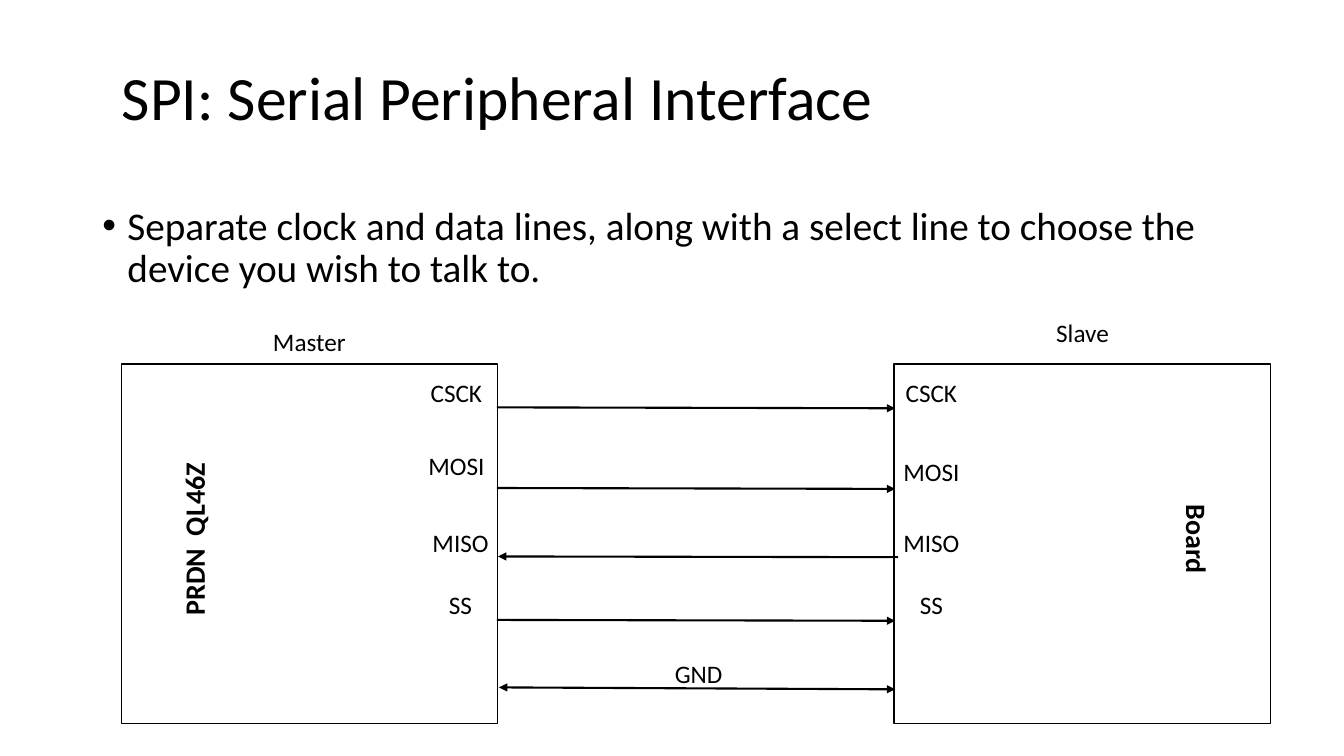
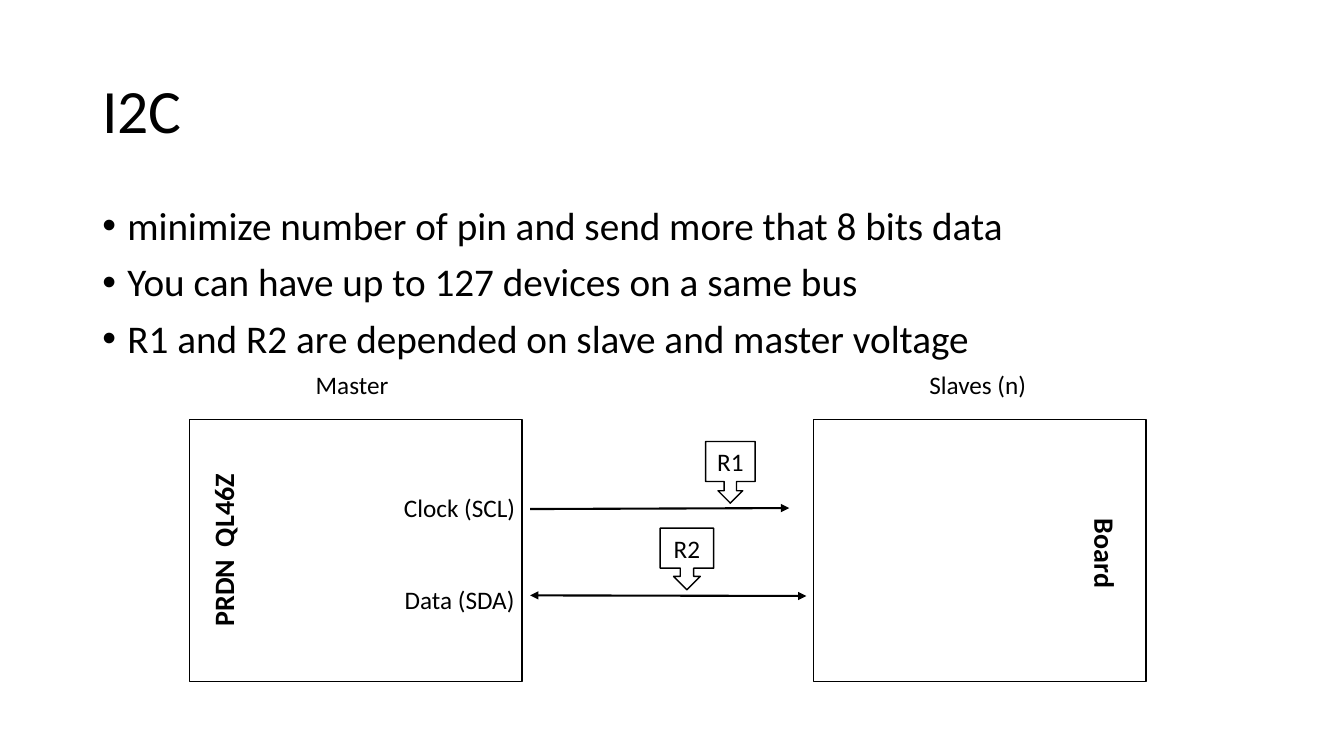
from lxml.etree import SubElement
from pptx import Presentation
from pptx.dml.color import RGBColor
from pptx.enum.shapes import MSO_CONNECTOR as Connector, MSO_SHAPE as Shape
from pptx.enum.text import MSO_ANCHOR as Anchor, PP_ALIGN as Align
from pptx.oxml.ns import qn
from pptx.util import Pt


def color(hex_value):
    return RGBColor.from_string(hex_value)


class Diagram:
    """Holds the shared style and draws elements, in points, on the current slide."""

    INK, PAPER, FONT = "000000", "FFFFFF", "Calibri"
    TITLE = {"size": Pt(44)}
    BULLET = {"size": Pt(28)}
    LABEL = {"size": Pt(18)}
    DEVICE = {"size": Pt(20), "bold": True}
    DENSE = {"line_spacing": 0.9}
    LIST = {"line_spacing": 0.9, "space_before": Pt(10)}
    CENTER = {"alignment": Align.CENTER}

    def __init__(self):
        self.deck = Presentation()
        self.deck.slide_width, self.deck.slide_height = Pt(960), Pt(540)

    def start_slide(self):
        self.page = self.deck.slides.add_slide(self.deck.slide_layouts[6])

    def fill_text(self, box, lines, font, layout, anchor=Anchor.TOP):
        frame = box.text_frame
        frame.word_wrap = True
        frame.vertical_anchor = anchor
        for index, line in enumerate(lines):
            para = frame.add_paragraph() if index else frame.paragraphs[0]
            for name, value in layout.items():
                setattr(para, name, value)
            span = para.add_run()
            span.text = line
            for name, value in {"name": self.FONT, **font}.items():
                setattr(span.font, name, value)
            span.font.color.rgb = color(self.INK)
        return frame

    def text_box(self, left, top, width, height):
        return self.page.shapes.add_textbox(Pt(left), Pt(top), Pt(width), Pt(height))

    def title(self, text, left, top):
        box = self.text_box(left, top, 828, 104.4)
        self.fill_text(box, [text], self.TITLE, self.DENSE, Anchor.MIDDLE)

    def bullets(self, lines):
        box = self.text_box(66, 144, 828, 343)
        for para in self.fill_text(box, lines, self.BULLET, self.LIST).paragraphs:
            props = para._p.get_or_add_pPr()
            props.set("marL", str(Pt(18)))
            props.set("indent", str(Pt(-18)))
            SubElement(props, qn("a:buFont")).set("typeface", "Arial")
            SubElement(props, qn("a:buChar")).set("char", "•")

    def label(self, text, center, top):
        box = self.text_box(center - 108, top, 216, 29)
        self.fill_text(box, [text], self.LABEL, self.CENTER)

    def device(self, text, center, middle, rotation):
        box = self.text_box(center - 105.5, middle - 15.8, 211, 31.6)
        box.rotation = rotation
        self.fill_text(box, [text], self.DEVICE, self.CENTER)

    def block(self, left, top, width, height, kind=Shape.RECTANGLE):
        shape = self.page.shapes.add_shape(kind, Pt(left), Pt(top), Pt(width), Pt(height))
        shape.shadow.inherit = False
        shape.fill.solid()
        shape.fill.fore_color.rgb = color(self.PAPER)
        shape.line.color.rgb = color(self.INK)
        shape.line.width = Pt(1)
        return shape

    def callout(self, text, left, top, width):
        shape = self.block(left, top, width, 44, Shape.DOWN_ARROW_CALLOUT)
        frame = self.fill_text(shape, [text], self.LABEL, self.CENTER, Anchor.MIDDLE)
        frame.margin_left = frame.margin_right = 0

    def arrow(self, start, end, both=False):
        points = [Pt(value) for value in (*start, *end)]
        line = self.page.shapes.add_connector(Connector.STRAIGHT, *points)
        line.line.color.rgb = color(self.INK)
        line.line.width = Pt(1.5)
        outline = line._element.spPr.get_or_add_ln()
        for tag in ("a:headEnd", "a:tailEnd") if both else ("a:tailEnd",):
            SubElement(outline, qn(tag)).set("type", "triangle")
        SubElement(line._element.spPr, qn("a:effectLst"))


def draw_spi(diagram):
    diagram.start_slide()
    diagram.title("SPI: Serial Peripheral Interface", 80, 19.4)
    diagram.bullets(["Separate clock and data lines, along with a select line to choose "
                     "the device you wish to talk to."])
    for left in (86.6, 638.6):
        diagram.block(left, 260, 269, 257)
    diagram.label("Slave", 773.3, 223.2)
    diagram.label("Master", 221, 229.7)
    for top in (291, 348.6, 442.8):
        diagram.arrow((355, top), (639.4, top + 0.6))
    diagram.arrow((356.4, 491), (639.4, 492.4), both=True)
    diagram.arrow((641.5, 398), (355.7, 397.5))
    pins = [("CSCK", 326, 265.7, 265.7), ("MOSI", 326, 318.2, 322.6),
            ("MISO", 329, 373, 373), ("SS", 329, 417.6, 417.6)]
    for pin, center, master_top, slave_top in pins:
        diagram.label(pin, center, master_top)
        diagram.label(pin, 665.3, slave_top)
    diagram.label("GND", 499, 466.6)
    diagram.device("PRDN  QL46Z", 138.6, 385.2, 270)
    diagram.device("Board", 855, 385.2, 90)


def draw_i2c(diagram):
    diagram.start_slide()
    diagram.title("I2C", 66, 28.8)
    diagram.bullets(["minimize number of pin and send more that 8 bits data",
                     "You can have up to 127 devices on a same bus",
                     "R1 and R2 are depended on slave and master voltage"])
    for left in (135.4, 581):
        diagram.block(left, 299.5, 237.6, 187.2)
    diagram.device("PRDN  QL46Z", 159.5, 393.1, 270)
    diagram.device("Board", 789.5, 395.3, 90)
    diagram.arrow((378.7, 363.6), (563.8, 362.9))
    diagram.arrow((378.7, 425.3), (576, 425.7), both=True)
    diagram.label("Clock (SCL)", 328.3, 347.8)
    diagram.label("Data (SDA)", 328.3, 413.7)
    diagram.label("Master", 251.5, 260.6)
    diagram.label("Slaves (n)", 698.4, 260.6)
    diagram.callout("R1", 504, 315.4, 35.4)
    diagram.callout("R2", 471.6, 377.3, 38.2)


def main():
    diagram = Diagram()
    draw_spi(diagram)
    draw_i2c(diagram)
    diagram.deck.save("out.pptx")


if __name__ == "__main__":
    main()
